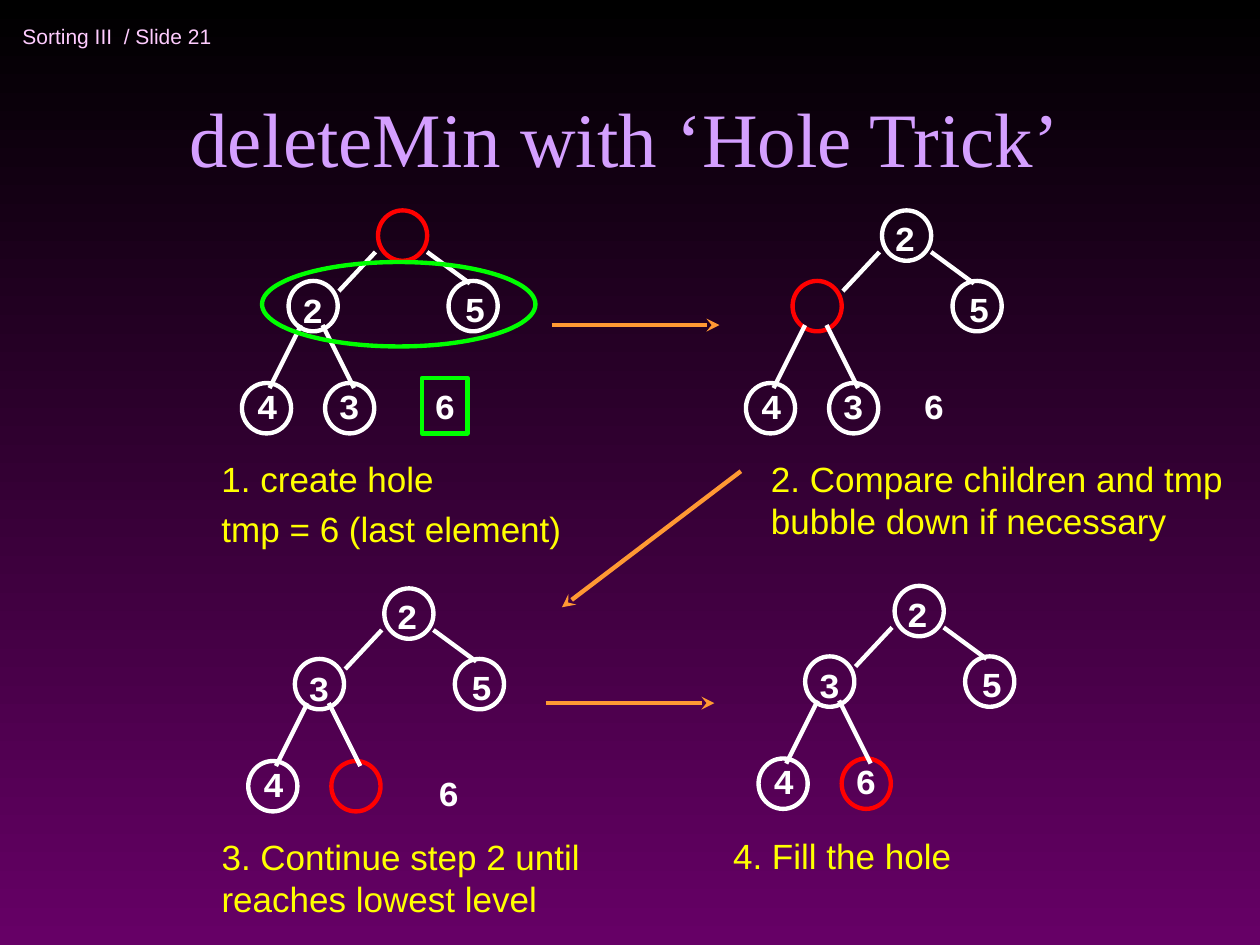
"""Build a slide that shows deleteMin on a heap in four steps."""
import dataclasses
import lxml.etree
import pptx
import pptx.dml.color
import pptx.enum.shapes
import pptx.enum.text
import pptx.oxml.ns
import pptx.util

Inches, Pt = pptx.util.Inches, pptx.util.Pt
RGB = pptx.dml.color.RGBColor.from_string
Kind = pptx.enum.shapes.MSO_SHAPE
Align = pptx.enum.text.PP_ALIGN
Anchor = pptx.enum.text.MSO_ANCHOR
qn = pptx.oxml.ns.qn


@dataclasses.dataclass
class Theme:
    white: str = "FFFFFF"
    red: str = "FF0000"
    green: str = "00FF00"
    yellow: str = "FFFF00"
    orange: str = "FF9933"
    pink: str = "FFCCFF"
    lilac: str = "D49FFF"
    dark: str = "000000"
    plum: str = "660066"
    small: int = 12
    body: int = 20
    large: int = 44
    gap: int = 5
    stroke: float = 2.5
    sans: str = "Arial"
    serif: str = "Times New Roman"
    mono: str = "Courier New"


theme = Theme()
deck = pptx.Presentation()
deck.slide_width, deck.slide_height = Inches(10), Inches(7.5)
slide = deck.slides.add_slide(deck.slide_layouts[6])
shapes = slide.shapes

back = slide.background.fill
back.gradient()
back.gradient_angle = 270
for stop, color in zip(back.gradient_stops, (theme.dark, theme.plum)):
    stop.color.rgb = RGB(color)


def write(text, left, top, width, height, color, font, size=theme.body, bold=False):
    box = shapes.add_textbox(Inches(left), Inches(top), Inches(width), Inches(height))
    frame = box.text_frame
    frame.word_wrap = False
    frame.text = text
    for i, para in enumerate(frame.paragraphs):
        if i:
            para.space_before = Pt(theme.gap)
        para.font.name, para.font.size = font, Pt(size)
        para.font.bold, para.font.color.rgb = bold, RGB(color)
    return frame


def draw(kind, x, y, p, q, color, head=False):
    if kind is None:
        item = shapes.add_connector(
            pptx.enum.shapes.MSO_CONNECTOR.STRAIGHT, Inches(x), Inches(y), Inches(p), Inches(q))
    else:
        item = shapes.add_shape(kind, Inches(x), Inches(y), Inches(p), Inches(q))
        item.fill.background()
        item.shadow.inherit = False
    item.line.color.rgb = RGB(color)
    item.line.width = Pt(theme.stroke)
    if head:
        lxml.etree.SubElement(item.line._get_or_add_ln(), qn("a:tailEnd"), type="stealth")
    if kind is None:
        lxml.etree.SubElement(item._element.spPr, qn("a:effectLst"))


header = write("Sorting III  / Slide 21", 0.08, 0.08, 2.75, 0.42,
               theme.pink, theme.sans, theme.small)
header.vertical_anchor = Anchor.MIDDLE
title = write("deleteMin with ‘Hole Trick’", 0.67, 0.25, 8.58, 1.25,
              theme.lilac, theme.serif, theme.large)
title.word_wrap = True
title.vertical_anchor = Anchor.BOTTOM
title.paragraphs[0].alignment = Align.CENTER

nodes = [(0, 0), (-0.71, 0.56), (0.56, 0.56), (-1.08, 1.37), (-0.42, 1.37)]
spots = [(0, 0), (-0.7, 0.57), (0.59, 0.56), (-1.06, 1.33), (-0.41, 1.33)]
edges = [(-0.02, 0.33, -0.31, 0.64), (0.39, 0.33, 0.73, 0.58),
         (-0.61, 0.91, -0.86, 1.41), (-0.44, 0.91, -0.19, 1.41)]
steps = [
    (3, 1.67, " 2543", 0, (0.35, 1.33),
     "1. create hole\ntmp = 6 (last element)", 1.66, 3.58, 2.9, 0.84),
    (7, 1.67, "2 543", 1, (0.23, 1.33),
     "2. Compare children and tmp\vbubble down if necessary", 6.02, 3.58, 3.79, 0.77),
    (3.05, 4.67, "2354 ", 4, (0.33, 1.4),
     "3. Continue step 2 until\vreaches lowest level", 1.66, 6.58, 3.12, 0.77),
    (7.1, 4.65, "23546", 4, None,
     "4. Fill the hole", 5.72, 6.57, 1.93, 0.44),
]
for x, y, keys, hole, spare, note, *place in steps:
    for i, (dx, dy) in enumerate(nodes):
        draw(Kind.OVAL, x + dx, y + dy, 0.39, 0.4, theme.red if i == hole else theme.white)
    for ax, ay, bx, by in edges:
        draw(None, x + ax, y + ay, x + bx, y + by, theme.white)
    marks = [(key, spot) for key, spot in zip(keys, spots) if key != " "]
    if spare:
        marks.append(("6", spare))
    for key, (dx, dy) in marks:
        write(key, x + dx, y + dy, 0.36, 0.44, theme.white, theme.mono, bold=True)
    write(note, *place, theme.yellow, theme.sans)

draw(Kind.RECTANGLE, 3.35, 3, 0.36, 0.44, theme.green)
draw(Kind.OVAL, 2.08, 2.08, 2.17, 0.67, theme.green)
for ends in [(4.38, 2.58, 5.71, 2.58), (5.88, 3.74, 4.46, 4.82), (4.33, 5.58, 5.67, 5.58)]:
    draw(None, *ends, theme.orange, head=True)

deck.save("out.pptx")
